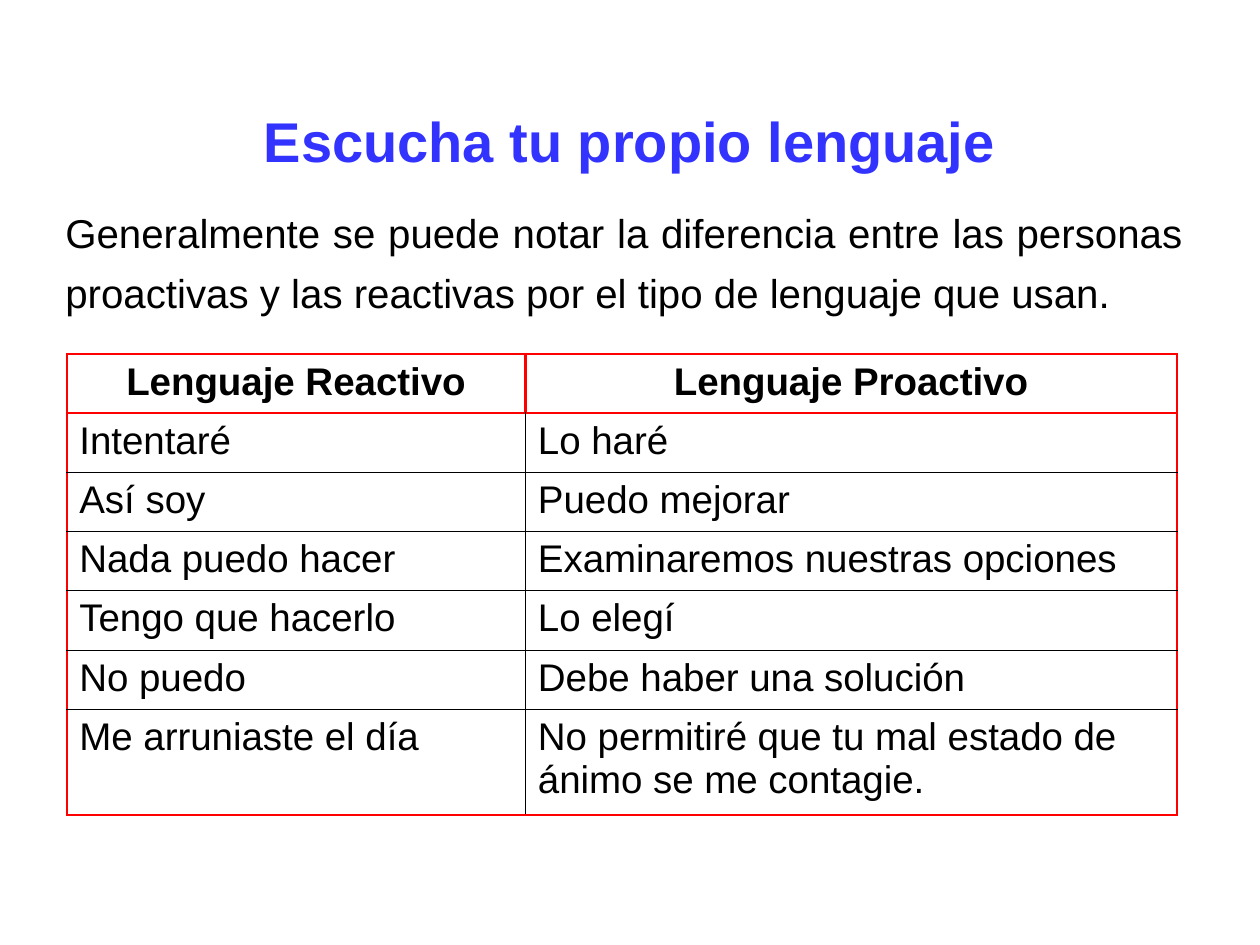
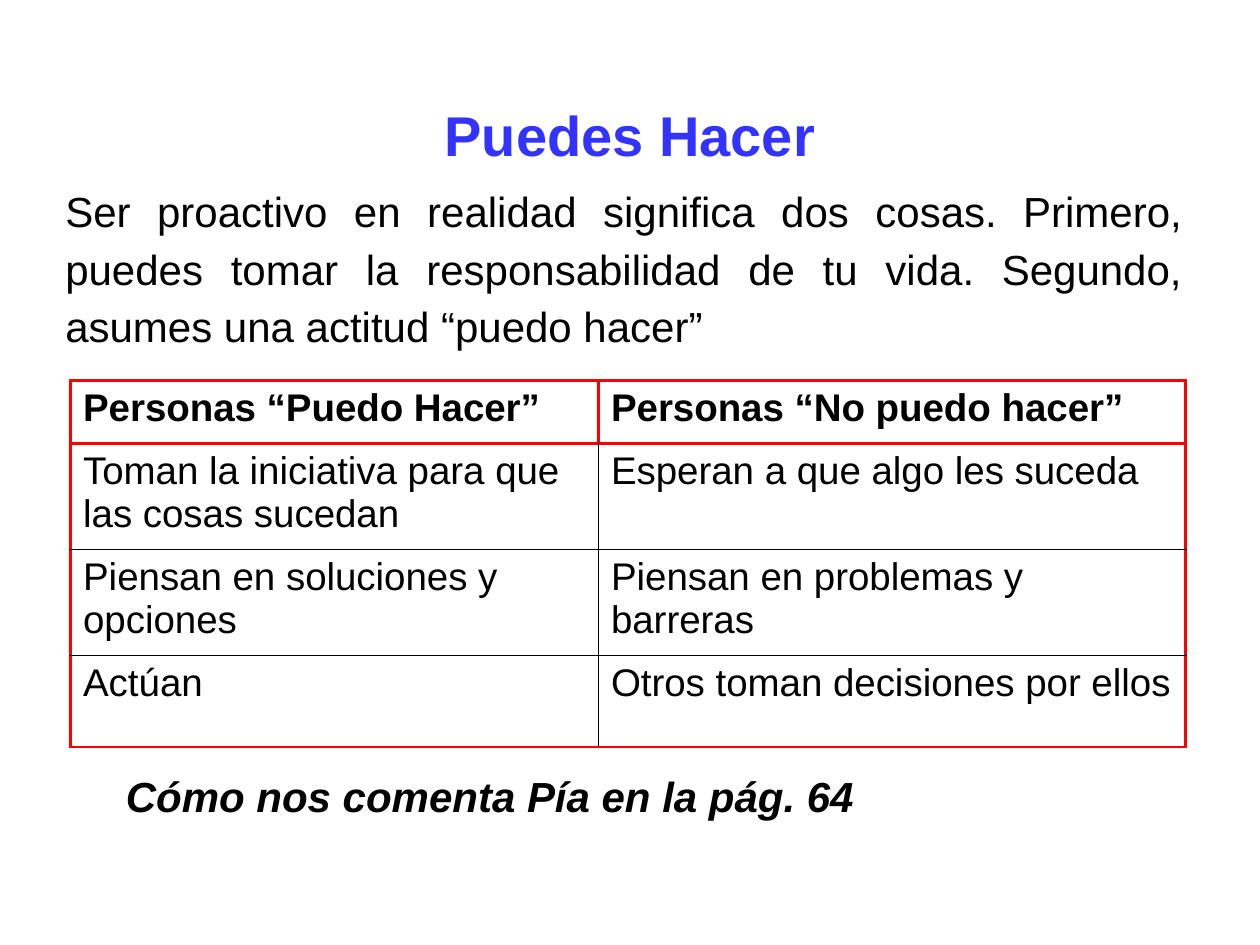
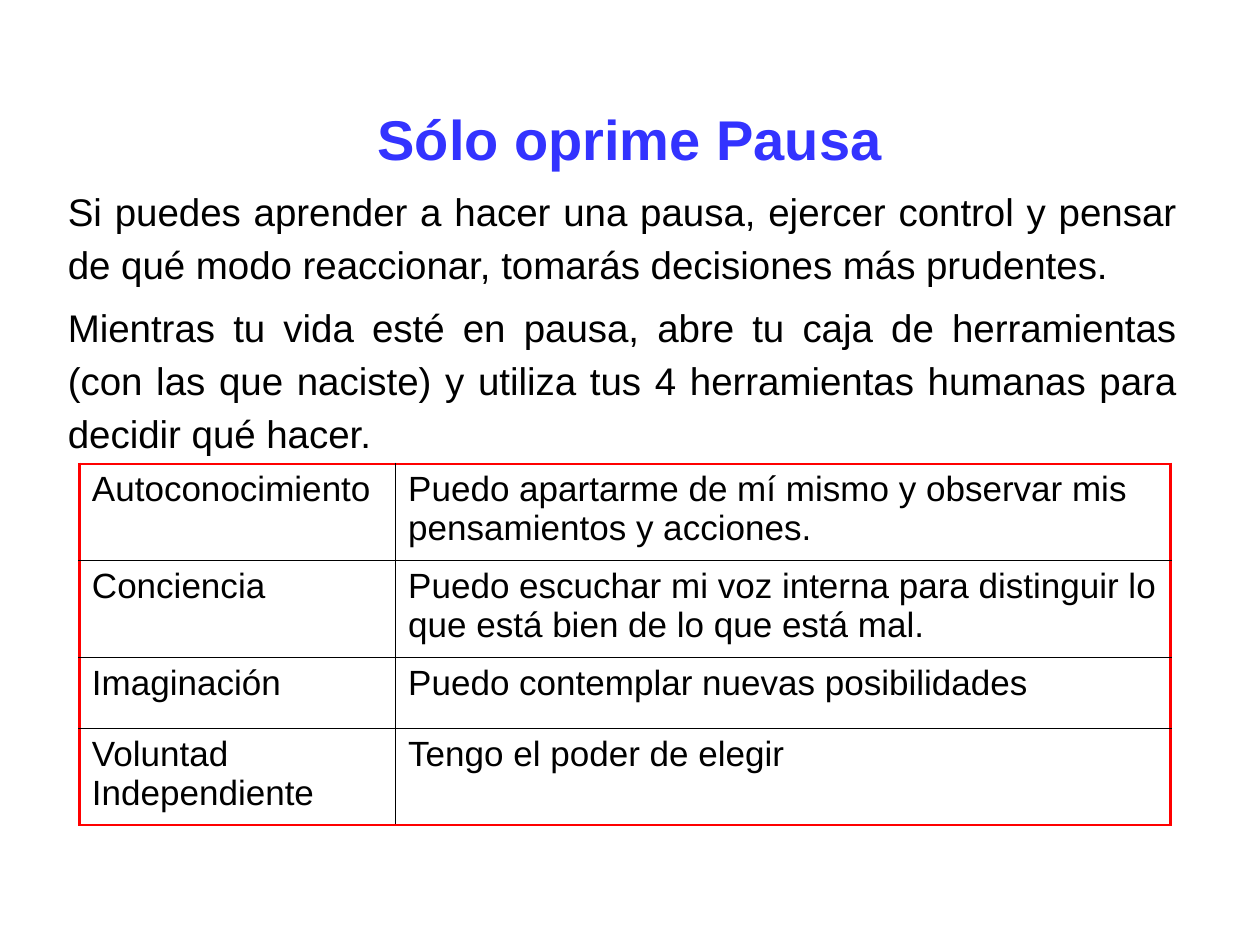
from dataclasses import dataclass

from lxml.etree import SubElement
from pptx import Presentation
from pptx.dml.color import RGBColor
from pptx.enum.text import MSO_ANCHOR, MSO_AUTO_SIZE, PP_ALIGN
from pptx.oxml.ns import qn
from pptx.slide import Slide
from pptx.table import _Cell
from pptx.text.text import TextFrame
from pptx.util import Inches, Pt

COLORS = {"title": "3333FF", "text": "000000", "frame": "FF0000", "grid": "000000"}
FONT = "Arial"
FRAME_WIDTH, GRID_WIDTH = Pt(1.47), Pt(0.45)
TITLE_LEFT, TITLE_WIDTH = 0.75, 8.5


@dataclass(frozen=True)
class Box:
    left: float
    top: float
    width: float
    height: float

    def lengths(self) -> list[int]:
        return [Inches(v) for v in (self.left, self.top, self.width, self.height)]


@dataclass(frozen=True)
class Style:
    size: float
    bold: bool = False
    italic: bool = False
    color: str = "text"
    align: PP_ALIGN = PP_ALIGN.LEFT
    line_spacing: float = 1.0
    space_before: float = 0


@dataclass(frozen=True)
class Passage:
    box: Box
    paragraphs: list[str]
    style: Style
    wrap: bool = True


@dataclass(frozen=True)
class Comparison:
    left: float
    top: float
    columns: list[float]
    heights: list[float]
    rows: list[tuple[str, str]]
    size: float = 22
    has_header: bool = True
    header_align: PP_ALIGN = PP_ALIGN.LEFT


@dataclass(frozen=True)
class Lesson:
    title: str
    title_top: float
    title_height: float
    passages: list[Passage]
    comparison: Comparison


TITLE_STYLE = Style(32, bold=True, color="title", align=PP_ALIGN.CENTER)

LESSONS = [
    Lesson(
        "Escucha tu propio lenguaje", 0.86, 0.5,
        [Passage(
            Box(0.42, 1.51, 9.08, 1.83),
            ["Generalmente se puede notar la diferencia entre las personas proactivas "
             "y las reactivas por el tipo de lenguaje que usan."],
            Style(23, align=PP_ALIGN.JUSTIFY, line_spacing=1.25, space_before=5.8))],
        Comparison(
            0.53, 2.81, [3.64, 5.17], [0.47] * 6 + [0.84],
            [("Lenguaje Reactivo", "Lenguaje Proactivo"),
             ("Intentaré", "Lo haré"),
             ("Así soy", "Puedo mejorar"),
             ("Nada puedo hacer", "Examinaremos nuestras opciones"),
             ("Tengo que hacerlo", "Lo elegí"),
             ("No puedo", "Debe haber una solución"),
             ("Me arruniaste el día",
              "No permitiré que tu mal estado de ánimo se me contagie.")],
            header_align=PP_ALIGN.CENTER)),
    Lesson(
        "Puedes Hacer", 0.76, 0.61,
        [Passage(
            Box(0.42, 1.36, 9.06, 1.58),
            ["Ser proactivo en realidad significa dos cosas. Primero, puedes tomar la "
             "responsabilidad de tu vida. Segundo, asumes una actitud “puedo hacer”"],
            Style(24, align=PP_ALIGN.JUSTIFY, line_spacing=1.15, space_before=6)),
         Passage(
            Box(0.9, 6.07, 5.98, 0.5),
            ["Cómo nos comenta Pía en la pág. 64"],
            Style(24, bold=True, italic=True), wrap=False)],
        Comparison(
            0.56, 3.02, [4.19, 4.66], [0.5, 0.84, 0.84, 0.73],
            [("Personas “Puedo Hacer”", "Personas “No puedo hacer”"),
             ("Toman la iniciativa para que las cosas sucedan",
              "Esperan a que algo les suceda"),
             ("Piensan en soluciones y opciones", "Piensan en problemas y barreras"),
             ("Actúan", "Otros toman decisiones por ellos")])),
    Lesson(
        "Sólo oprime Pausa", 0.81, 0.58,
        [Passage(
            Box(0.44, 1.39, 9, 2.19),
            ["Si puedes aprender a hacer una pausa, ejercer control y pensar de qué modo "
             "reaccionar, tomarás decisiones más prudentes.",
             "Mientras tu vida esté en pausa, abre tu caja de herramientas (con las que "
             "naciste) y utiliza tus 4 herramientas humanas para decidir qué hacer."],
            Style(22, align=PP_ALIGN.JUSTIFY, line_spacing=1.15, space_before=5.5))],
        Comparison(
            0.63, 3.68, [2.51, 6.15], [0.77, 0.77, 0.56, 0.77],
            [("Autoconocimiento",
              "Puedo apartarme de mí mismo y observar mis pensamientos y acciones."),
             ("Conciencia",
              "Puedo escuchar mi voz interna para distinguir lo que está bien de lo "
              "que está mal."),
             ("Imaginación", "Puedo contemplar nuevas posibilidades"),
             ("Voluntad Independiente", "Tengo el poder de elegir")],
            size=20, has_header=False)),
]


def write(frame: TextFrame, paragraphs: list[str], style: Style) -> None:
    frame.text = "\n".join(paragraphs)
    for index, paragraph in enumerate(frame.paragraphs):
        paragraph.alignment = style.align
        paragraph.line_spacing = style.line_spacing
        # A lone paragraph keeps its spacing; in a series it only separates.
        separates = index > 0 or len(paragraphs) == 1
        paragraph.space_before = Pt(style.space_before if separates else 0)
        for run in paragraph.runs:
            font = run.font
            font.name, font.size = FONT, Pt(style.size)
            font.bold, font.italic = style.bold, style.italic
            font.color.rgb = RGBColor.from_string(COLORS[style.color])


def add_title(slide: Slide, lesson: Lesson) -> None:
    title = slide.shapes.title
    box = Box(TITLE_LEFT, lesson.title_top, TITLE_WIDTH, lesson.title_height)
    title.left, title.top, title.width, title.height = box.lengths()
    title.text_frame.auto_size = MSO_AUTO_SIZE.NONE
    title.text_frame.vertical_anchor = MSO_ANCHOR.MIDDLE
    write(title.text_frame, [lesson.title], TITLE_STYLE)


def add_passage(slide: Slide, passage: Passage) -> None:
    frame = slide.shapes.add_textbox(*passage.box.lengths()).text_frame
    frame.word_wrap = passage.wrap
    write(frame, passage.paragraphs, passage.style)


def set_border(cell: _Cell, side: str, framed: bool) -> None:
    line = SubElement(cell._tc.get_or_add_tcPr(), qn(f"a:ln{side}"))
    line.set("w", str(FRAME_WIDTH if framed else GRID_WIDTH))
    fill = SubElement(line, qn("a:solidFill"))
    SubElement(fill, qn("a:srgbClr")).set("val", COLORS["frame" if framed else "grid"])


def add_comparison(slide: Slide, comparison: Comparison) -> None:
    """Draw the table: frame lines outside and round the header, thin grid inside."""
    columns, heights = comparison.columns, comparison.heights
    box = Box(comparison.left, comparison.top, sum(columns), sum(heights))
    table = slide.shapes.add_table(len(heights), len(columns), *box.lengths()).table
    table.first_row = table.horz_banding = False
    for column, width in zip(table.columns, columns):
        column.width = Inches(width)
    for row, height in zip(table.rows, heights):
        row.height = Inches(height)

    last_row, last_column = len(heights) - 1, len(columns) - 1
    for r, texts in enumerate(comparison.rows):
        is_header = comparison.has_header and r == 0
        below_header = comparison.has_header and r == 1
        style = Style(comparison.size, bold=is_header, space_before=comparison.size / 4,
                      align=comparison.header_align if is_header else PP_ALIGN.LEFT)
        for c, text in enumerate(texts):
            cell = table.cell(r, c)
            write(cell.text_frame, [text], style)
            framed_sides = {"L": c == 0, "R": c == last_column,
                            "T": r == 0 or below_header, "B": r == last_row}
            for side, framed in framed_sides.items():
                set_border(cell, side, framed or is_header)
            cell.fill.background()


def main() -> None:
    deck = Presentation()
    deck.slide_width, deck.slide_height = Inches(10), Inches(7.5)
    title_only = deck.slide_layouts[5]
    for lesson in LESSONS:
        slide = deck.slides.add_slide(title_only)
        add_title(slide, lesson)
        add_comparison(slide, lesson.comparison)
        for passage in lesson.passages:
            add_passage(slide, passage)
    deck.save("out.pptx")


if __name__ == "__main__":
    main()
